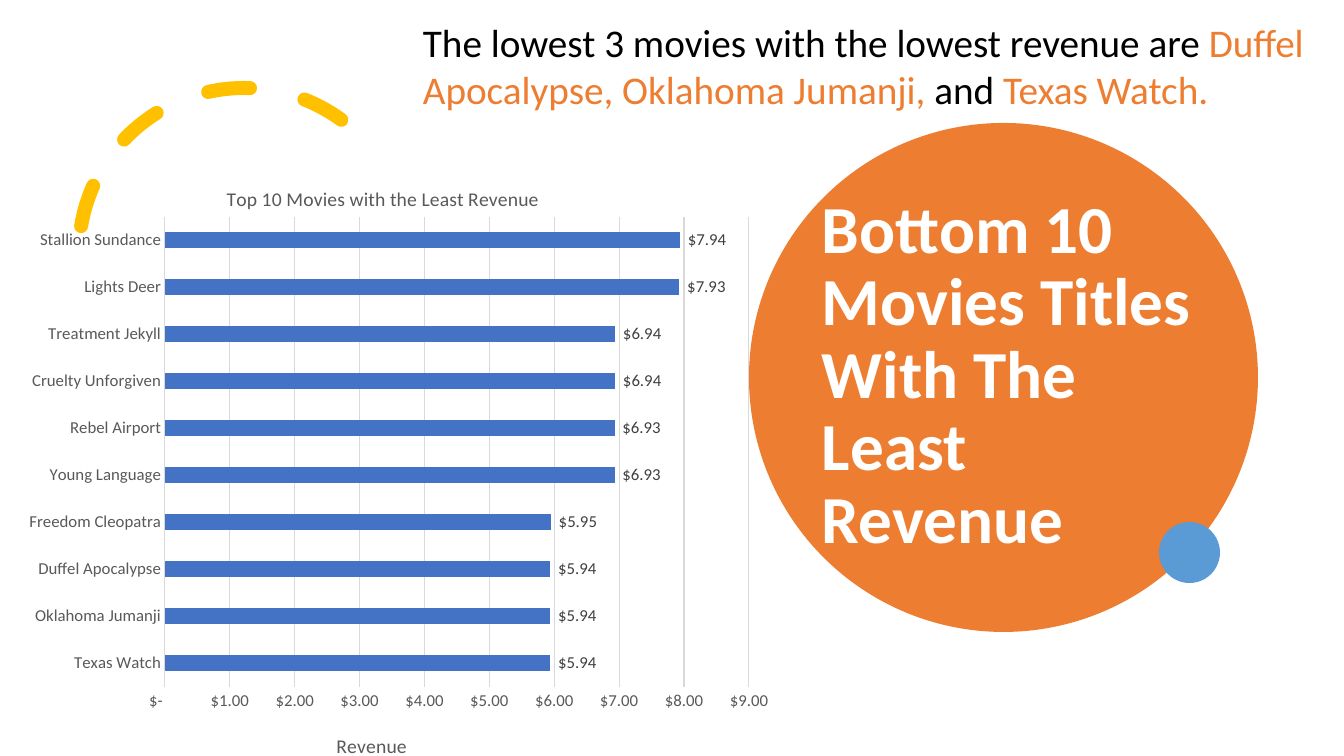
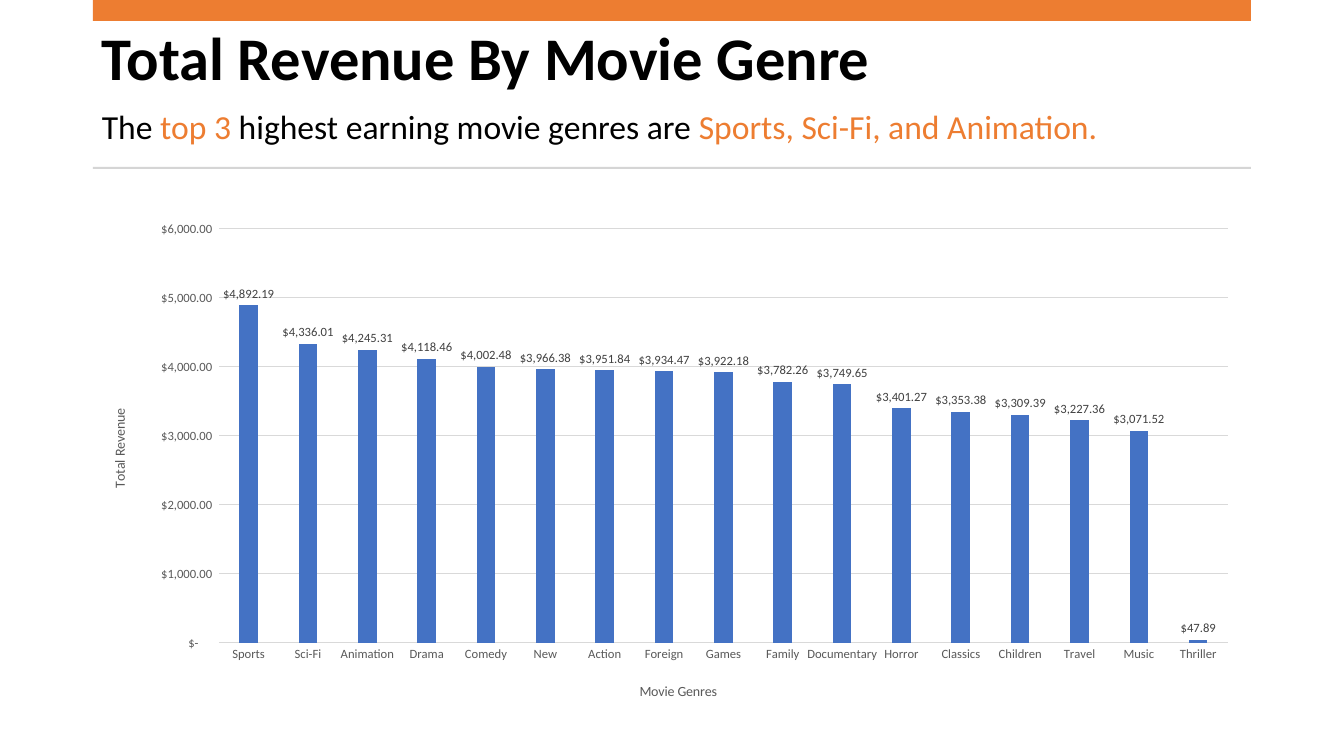
from lxml import etree
from pptx import Presentation, util as u
from pptx.chart.data import CategoryChartData
from pptx.dml.color import RGBColor
from pptx.enum import chart as charts, dml, shapes, text
from pptx.oxml.ns import qn

PX = 914400 / 100.8
PAGE = (1344, 756)
FONT = "Calibri"
COLOURS = {"ink": "000000", "white": "FFFFFF", "orange": "ED7D31", "sky": "5B9BD5",
           "gold": "FFC000", "rule": "D5D5D5", "grid": "D9D9D9", "bar": "4472C4",
           "axis": "595959", "label": "404040"}
MONEY = '_("$"* #,##0.00_);_("$"* \\(#,##0.00\\);_("$"* "-"??_);_(@_)'

LEAST_REVENUE = {
    "Texas Watch": 5.94, "Oklahoma Jumanji": 5.94, "Duffel Apocalypse": 5.94,
    "Freedom Cleopatra": 5.95, "Young Language": 6.93, "Rebel Airport": 6.93,
    "Cruelty Unforgiven": 6.94, "Treatment Jekyll": 6.94, "Lights Deer": 7.93,
    "Stallion Sundance": 7.94}
GENRE_REVENUE = {
    "Sports": 4892.19, "Sci-Fi": 4336.01, "Animation": 4245.31, "Drama": 4118.46,
    "Comedy": 4002.48, "New": 3966.38, "Action": 3951.84, "Foreign": 3934.47,
    "Games": 3922.18, "Family": 3782.26, "Documentary": 3749.65, "Horror": 3401.27,
    "Classics": 3353.38, "Children": 3309.39, "Travel": 3227.36, "Music": 3071.52,
    "Thriller": 47.89}


def emu(*lengths):
    return [u.Emu(round(length * PX)) for length in lengths]


def rgb(name):
    return RGBColor.from_string(COLOURS[name])


def apply(target, **values):
    for name, value in values.items():
        setattr(target, name, value)


def style_font(font, size, colour, bold=False):
    apply(font, name=FONT, size=u.Pt(size), bold=bold)
    font.color.rgb = rgb(colour)


def style_line(line, colour, width):
    line.color.rgb = rgb(colour)
    line.width = u.Pt(width)


def add_filled(page, kind, box, colour):
    shape = page.shapes.add_shape(kind, *emu(*box))
    shape.shadow.inherit = False
    shape.fill.solid()
    shape.fill.fore_color.rgb = rgb(colour)
    shape.line.fill.background()


def add_text(page, box, spans, size, bold=False, anchor=text.MSO_ANCHOR.TOP, spacing=1.0):
    frame = page.shapes.add_textbox(*emu(*box)).text_frame
    apply(frame, word_wrap=True, vertical_anchor=anchor)
    para = frame.paragraphs[0]
    para.line_spacing = spacing
    for words, colour in spans:
        span = para.add_run()
        span.text = words
        style_font(span.font, size, colour, bold)


def add_title(page, box, words, size, colour):
    add_text(page, box, [(words, colour)], size, True, text.MSO_ANCHOR.MIDDLE, 0.9)


def make_layout(chart_box, place, inner=False):
    """Manual layout from px measured inside the chart box."""
    layout = etree.Element(qn("c:layout"))
    manual = etree.SubElement(layout, qn("c:manualLayout"))
    values = [("layoutTarget", "inner")] if inner else []
    values += [("xMode", "edge"), ("yMode", "edge")]
    sizes = chart_box[2:] * 2
    values += [(key, f"{length / whole:.4f}")
               for key, length, whole in zip("xywh", place, sizes)]
    for key, value in values:
        etree.SubElement(manual, qn("c:" + key)).set("val", value)
    return layout


def place_chart_title(title, words, size, chart_box, place, turned=False):
    frame = title.text_frame
    frame.text = words
    style_font(frame.paragraphs[0].runs[0].font, size, "axis")
    element = title._element
    if turned:
        body = element.find(".//" + qn("a:bodyPr"))
        body.set("rot", "-5400000")
        body.set("vert", "horz")
    for old in element.findall(qn("c:layout")):
        element.remove(old)
    element.find(qn("c:tx")).addnext(make_layout(chart_box, place))


def add_revenue_chart(page, box, kind, values, plot_box, size, gap, overlap, top, step):
    data = CategoryChartData()
    data.categories = list(values)
    data.add_series("Series 1", list(values.values()))
    chart = page.shapes.add_chart(kind, *emu(*box), data).chart
    apply(chart, has_legend=False, has_title=False)
    style_font(chart.font, size, "ink")

    # Bars and their labels
    plot = chart.plots[0]
    apply(plot, gap_width=gap, overlap=overlap, vary_by_categories=False,
          has_data_labels=True)
    fill = plot.series[0].format.fill
    fill.solid()
    fill.fore_color.rgb = rgb("bar")
    labels = plot.data_labels
    apply(labels, show_value=True, number_format=MONEY, number_format_is_linked=False,
          position=charts.XL_LABEL_POSITION.OUTSIDE_END)
    style_font(labels.font, size, "label")

    # Axes
    for axis in (chart.category_axis, chart.value_axis):
        apply(axis, major_tick_mark=charts.XL_TICK_MARK.NONE,
              minor_tick_mark=charts.XL_TICK_MARK.NONE)
        style_font(axis.tick_labels.font, size, "axis")
    chart.category_axis.has_major_gridlines = False
    style_line(chart.category_axis.format.line, "grid", 0.75)
    axis = chart.value_axis
    apply(axis, minimum_scale=0, maximum_scale=top, major_unit=step,
          has_major_gridlines=True)
    apply(axis.tick_labels, number_format=MONEY, number_format_is_linked=False)
    axis.format.line.fill.background()
    style_line(axis.major_gridlines.format.line, "grid", 0.75)

    # Plot position
    area = chart._chartSpace.find(".//" + qn("c:plotArea"))
    for old in area.findall(qn("c:layout")):
        area.remove(old)
    area.insert(0, make_layout(box, plot_box, inner=True))
    return chart


def add_dashed_arc(page, box):
    arc = page.shapes.add_shape(shapes.MSO_SHAPE.ARC, *emu(*box))
    arc.shadow.inherit = False
    arc.adjustments[0], arc.adjustments[1] = 158.17, 17.81
    arc.rotation = 29.8
    arc.fill.background()
    style_line(arc.line, "gold", 10)
    arc.line.dash_style = dml.MSO_LINE.DASH
    properties = arc._element.spPr
    properties.find(qn("a:xfrm")).set("flipH", "1")
    properties.find(qn("a:ln")).set("cap", "rnd")


def add_title_disc(page, box, words):
    left, top, width, height = box
    oval = shapes.MSO_SHAPE.OVAL
    add_filled(page, oval, box, "orange")
    add_filled(page, oval, (left + 410, top + 399, 61, 61), "sky")
    add_title(page, (left + 63, top + 79, 404, 349), words, 48, "white")


def build_bottom_movies(page):
    add_dashed_arc(page, (79, 88, 330, 330))
    add_title_disc(page, (749, 123, 509, 509),
                   "Bottom 10 Movies Titles With The Least Revenue")
    box = (9, 164, 771, 601)
    chart = add_revenue_chart(page, box, charts.XL_CHART_TYPE.BAR_CLUSTERED, LEAST_REVENUE,
                              (156, 53, 584, 474), 12, 182, 0, 9, 1)
    place_chart_title(chart.chart_title, "Top 10 Movies with the Least Revenue", 14,
                      box, (214, 18))
    place_chart_title(chart.value_axis.axis_title, "Revenue", 14, box, (324, 570))
    add_text(page, (413, 13, 920, 105), [
        ("The lowest 3 movies with the lowest revenue are ", "ink"),
        ("Duffel Apocalypse, Oklahoma Jumanji, ", "orange"),
        ("and ", "ink"), ("Texas Watch.", "orange")], 28)


def build_genres(page):
    left, width = 93, 1158
    # Heading between the band and the rule
    add_title(page, (left - 1, 39, width, 43), "Total Revenue By Movie Genre", 43.2, "ink")
    for top, height, colour in ((0, 21, "orange"), (167, 2, "rule")):
        add_filled(page, shapes.MSO_SHAPE.RECTANGLE, (left, top, width, height), colour)
    add_text(page, (left - 1, 101, width, 50), [
        ("The ", "ink"), ("top 3 ", "orange"),
        ("highest earning movie genres are ", "ink"),
        ("Sports, Sci-Fi, and Animation.", "orange")], 24)
    # Chart
    box = (left, 213, width, 500)
    chart = add_revenue_chart(page, box, charts.XL_CHART_TYPE.COLUMN_CLUSTERED,
                              GENRE_REVENUE, (126, 16, 1009, 414), 9, 219, -27, 6000, 1000)
    place_chart_title(chart.category_axis.axis_title, "Movie Genres", 10, box, (544, 467))
    place_chart_title(chart.value_axis.axis_title, "Total Revenue", 10, box, (15, 193), True)


def main():
    deck = Presentation()
    deck.slide_width, deck.slide_height = emu(*PAGE)
    for build in (build_bottom_movies, build_genres):
        build(deck.slides.add_slide(deck.slide_layouts[6]))
    deck.save("out.pptx")


if __name__ == "__main__":
    main()
